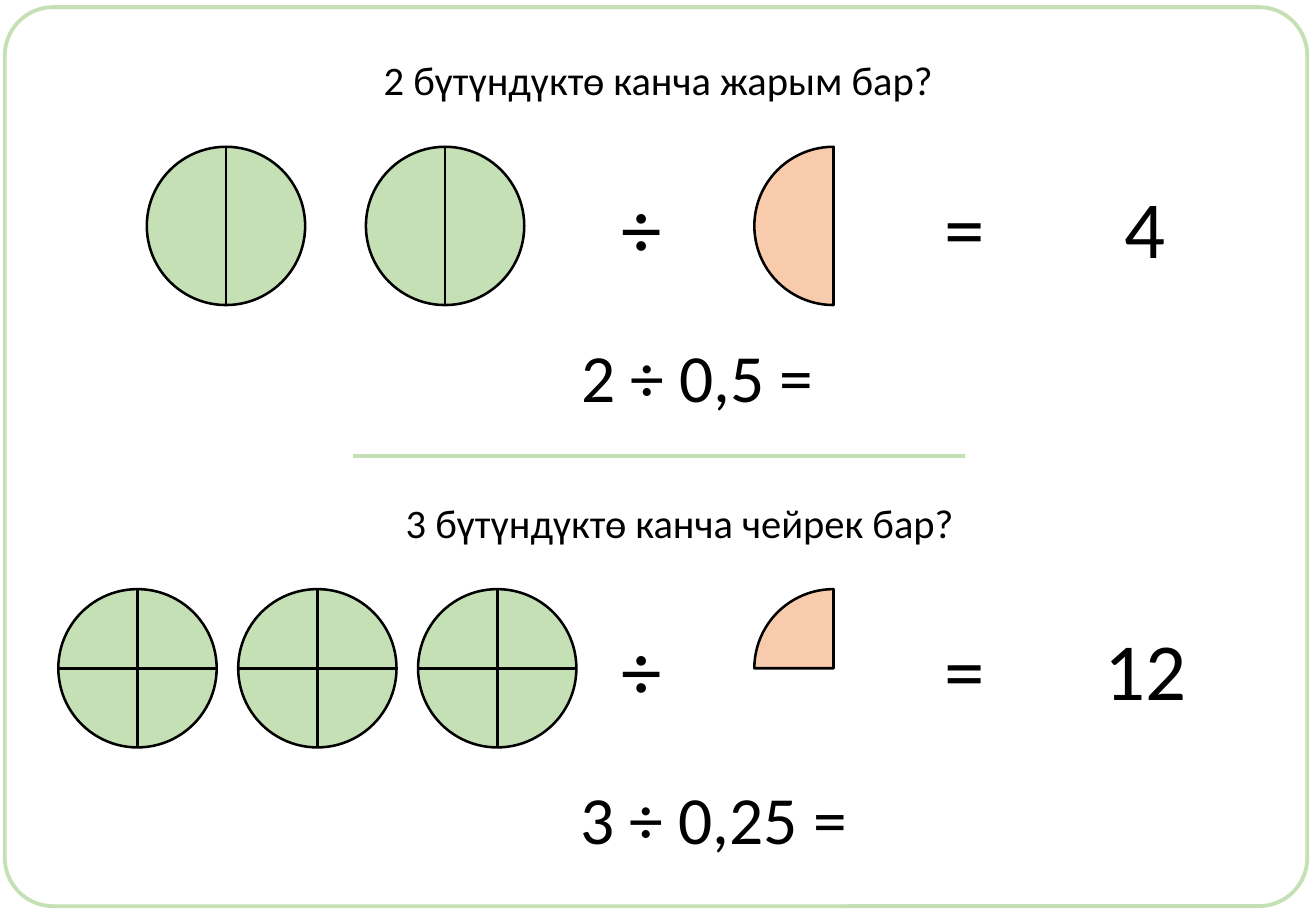
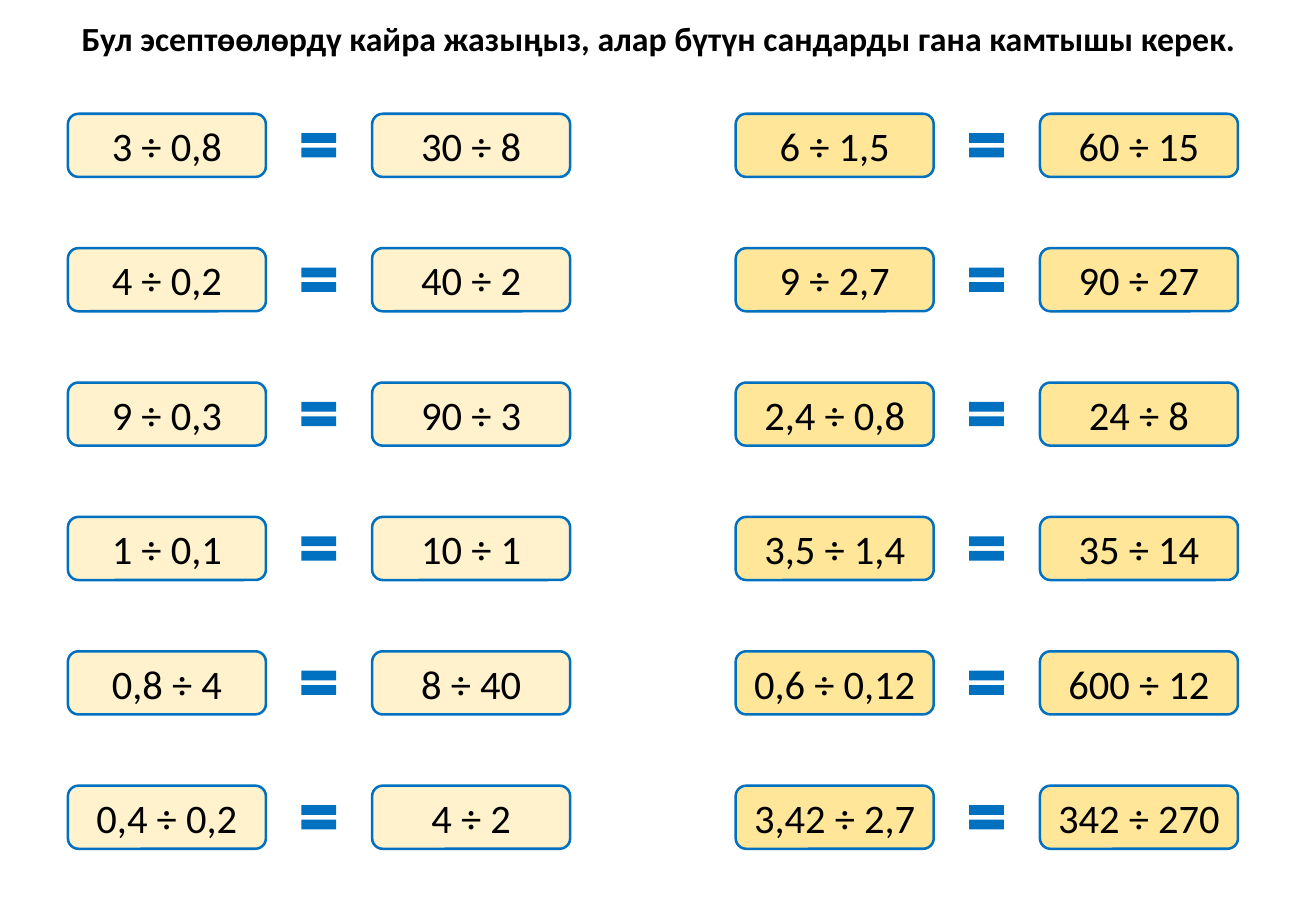
"""Build two slides on dividing by decimals."""
from lxml import etree
from pptx import Presentation
from pptx import util as u
from pptx.dml import color
from pptx.enum import shapes, text
from pptx.oxml import ns

HUES = {"black": "000000", "green": "C5E0B4", "peach": "F8CBAD",
        "cream": "FFF2CC", "gold": "FFE699", "blue": "0070C0"}
RGB = {name: color.RGBColor.from_string(code) for name, code in HUES.items()}
FONT = "Calibri"
KIND = shapes.MSO_SHAPE


def write(box, words, size, bold=False):
    """Put one centred line of text in a box."""
    frame = box.text_frame
    frame.text = words
    frame.word_wrap = False
    frame.auto_size = text.MSO_AUTO_SIZE.NONE
    frame.vertical_anchor = text.MSO_ANCHOR.MIDDLE
    line = frame.paragraphs[0]
    line.alignment = text.PP_ALIGN.CENTER
    line.font.name = FONT
    line.font.size = u.Pt(size)
    line.font.bold = bold
    line.font.color.rgb = RGB["black"]


def draw(slide, kind, area, fill=None, edge=None, width=1.5):
    """Add a preset shape; area is left, top, width, height in cm."""
    shape = slide.shapes.add_shape(kind, *map(u.Cm, area))
    shape.shadow.inherit = False
    if fill:
        shape.fill.solid()
        shape.fill.fore_color.rgb = RGB[fill]
    else:
        shape.fill.background()
    if edge:
        shape.line.color.rgb = RGB[edge]
        shape.line.width = u.Pt(width)
    else:
        shape.line.fill.background()
    return shape


deck = Presentation()
deck.slide_width, deck.slide_height = u.Cm(27.51), u.Cm(19.05)
heads = [("2 бүтүндүктө канча жарым бар?", (7.7, 1.02, 12.12, 1.28), 24, False),
         ("Бул эсептөөлөрдү кайра жазыңыз, алар бүтүн сандарды гана камтышы керек.",
          (1.35, 0.25, 24.84, 1.11), 20, True)]
slides = []
for words, area, size, bold in heads:
    slide = deck.slides.add_slide(deck.slide_layouts[5])
    title = slide.shapes.title
    title.left, title.top, title.width, title.height = map(u.Cm, area)
    write(title, words, size, bold)
    slides.append(slide)
parts, sums = slides

frame = draw(parts, KIND.ROUNDED_RECTANGLE, (0.1, 0.15, 27.23, 18.8), edge="green", width=2.25)
frame.adjustments[0] = 0.054

SIZE = 3.31
HALF = SIZE / 2
lines = [(7.37, 9.53, 20.17, 9.53, "green", 2.25)]
labels = [("3 бүтүндүктө канча чейрек бар?", 14.21, 10.29, 24)]
rows = [(3.07, [3.07, 7.65], False, 54, "4", "2 ÷ 0,5 =", 14.58),
        (12.32, [1.22, 4.98, 8.74], True, 108, "12", "3 ÷ 0,25 =", 14.92)]
for top, lefts, cross, start, answer, task, mid in rows:
    for left in lefts:
        draw(parts, KIND.OVAL, (left, top, SIZE, SIZE), "green", "black")
        lines.append((left + HALF, top, left + HALF, top + SIZE, "black", 1.5))
        if cross:
            lines.append((left, top + HALF, left + SIZE, top + HALF, "black", 1.5))
    slice = draw(parts, KIND.PIE, (15.77, top, SIZE, SIZE), "peach", "black")
    slice.adjustments[0], slice.adjustments[1] = start, 162
    labels += [("÷", 13.41, top + 0.5, 48), ("=", 20.17, top + 0.5, 48),
               (answer, 23.94, top + 0.5, 48), (task, mid, top + 3.8, 40)]

for words, mid, top, size in labels:
    wide = 0.5 + 0.02 * size * (len(words) + 1)
    high = 0.25 + 0.043 * size
    box = parts.shapes.add_textbox(*map(u.Cm, (mid - wide / 2, top, wide, high)))
    write(box, words, size)

for x1, y1, x2, y2, hue, width in lines:
    link = parts.shapes.add_connector(shapes.MSO_CONNECTOR.STRAIGHT, *map(u.Cm, (x1, y1, x2, y2)))
    link.line.color.rgb = RGB[hue]
    link.line.width = u.Pt(width)
    etree.SubElement(link._element.spPr, ns.qn("a:effectLst"))

groups = [(1.42, "cream", [("3 ÷ 0,8", "30 ÷ 8"), ("4 ÷ 0,2", "40 ÷ 2"),
                           ("9 ÷ 0,3", "90 ÷ 3"), ("1 ÷ 0,1", "10 ÷ 1"),
                           ("0,8 ÷ 4", "8 ÷ 40"), ("0,4 ÷ 0,2", "4 ÷ 2")]),
          (15.38, "gold", [("6 ÷ 1,5", "60 ÷ 15"), ("9 ÷ 2,7", "90 ÷ 27"),
                           ("2,4 ÷ 0,8", "24 ÷ 8"), ("3,5 ÷ 1,4", "35 ÷ 14"),
                           ("0,6 ÷ 0,12", "600 ÷ 12"), ("3,42 ÷ 2,7", "342 ÷ 270")])]
for left, fill, pairs in groups:
    for row, pair in enumerate(pairs):
        top = 2.38 + 2.81 * row
        for col, words in enumerate(pair):
            area = (left + 6.36 * col, top, 4.14, 1.32)
            write(draw(sums, KIND.ROUNDED_RECTANGLE, area, fill, "blue"), words, 24)
        draw(sums, KIND.MATH_EQUAL, (left + 4.75, top + 0.23, 0.99, 0.86), "blue")

deck.save("out.pptx")
